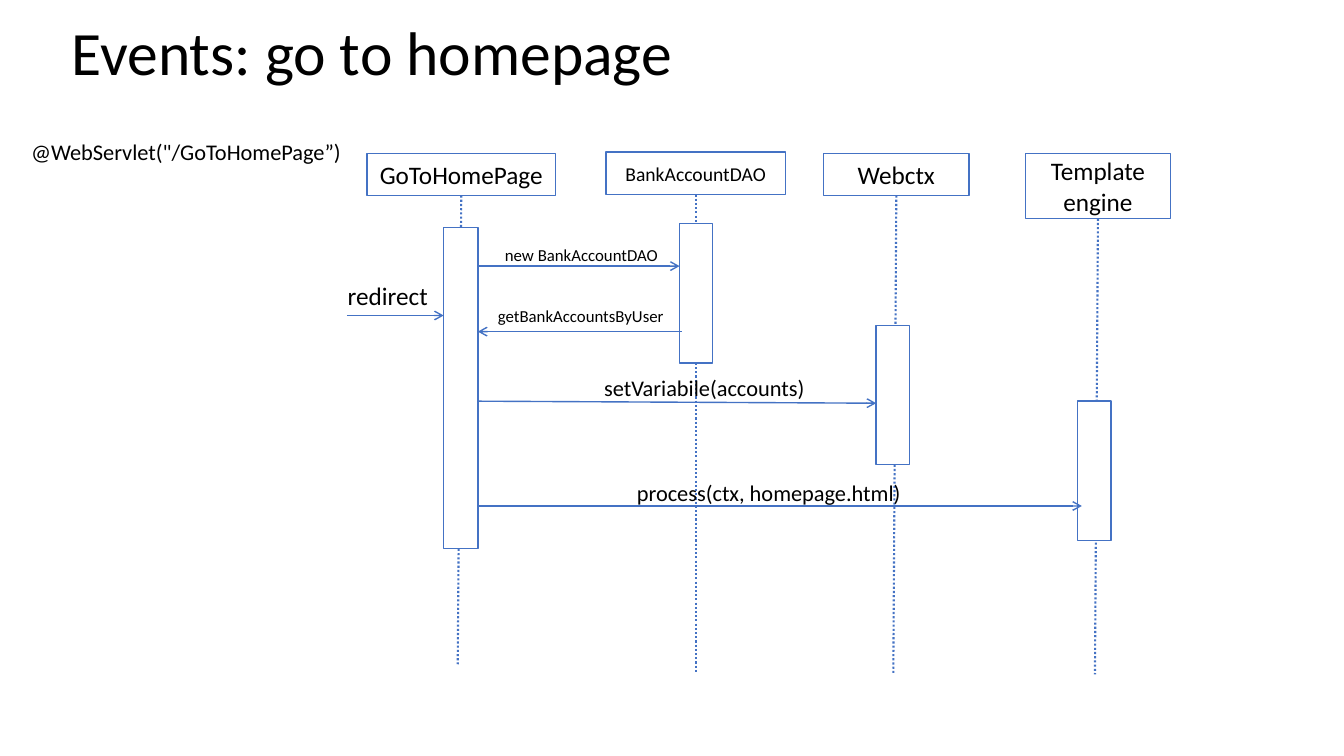
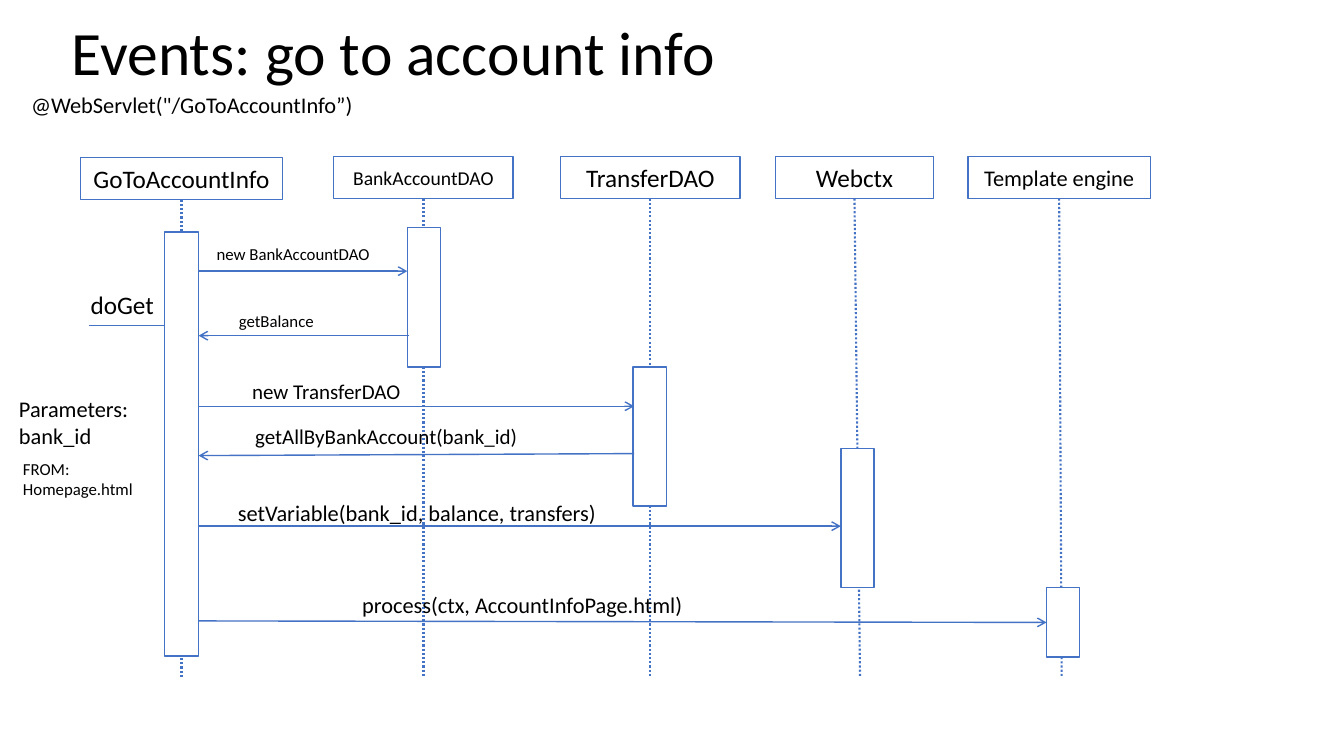
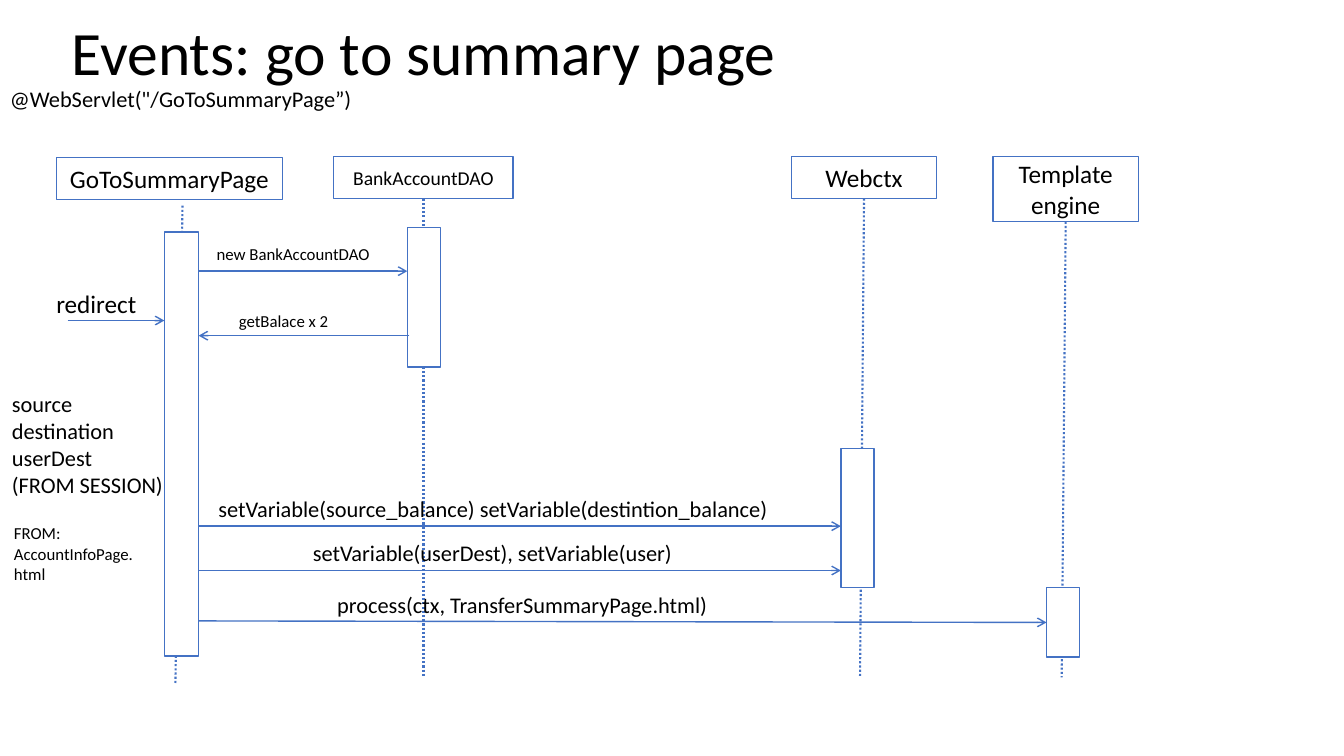
from dataclasses import dataclass
from typing import Any, Optional

from lxml.etree import SubElement
from pptx import Presentation
from pptx.dml.color import RGBColor
from pptx.enum.dml import MSO_LINE
from pptx.enum.shapes import MSO_CONNECTOR, MSO_SHAPE
from pptx.enum.text import MSO_ANCHOR, MSO_AUTO_SIZE, PP_ALIGN
from pptx.oxml.ns import qn
from pptx.util import Inches, Pt

Point = tuple[float, float]


@dataclass(frozen=True)
class Theme:
    font: str = "Calibri"
    ink: RGBColor = RGBColor(0x00, 0x00, 0x00)
    paper: RGBColor = RGBColor(0xFF, 0xFF, 0xFF)
    accent: RGBColor = RGBColor(0x44, 0x72, 0xC4)
    title: int = 44
    large: int = 18
    medium: int = 16
    compact: int = 15
    name: int = 14
    small: int = 12
    line: float = 1
    lifeline: float = 1.5


THEME = Theme()
LINE_HEIGHTS = {THEME.large: 0.4, THEME.medium: 0.37, THEME.compact: 0.35, THEME.small: 0.3}
CALL_LENGTH = 0.96
JOIN_TOLERANCE = 0.02


@dataclass(frozen=True)
class Frame:
    left: float
    top: float
    width: float
    height: float

    @property
    def right(self) -> float:
        return self.left + self.width

    @property
    def middle(self) -> float:
        return self.top + self.height / 2


@dataclass(frozen=True)
class Label:
    text: str
    left: float
    top: float
    width: float
    size: int = THEME.medium
    height: Optional[float] = None
    align: PP_ALIGN = PP_ALIGN.CENTER
    wrap: bool = False


@dataclass(frozen=True)
class Lifeline:
    """A named box, its dotted line down to foot, and its activation bar.

    The line hangs from the box unless start says otherwise.
    """
    name: str
    box: Frame
    foot: Point
    bar: Frame
    size: int = THEME.large
    start: Optional[Point] = None


@dataclass(frozen=True)
class Message:
    """An arrow between the first bar and the x position called reach."""
    label: Label
    reach: float
    y: float
    reach_y: Optional[float] = None
    returns: bool = False


@dataclass(frozen=True)
class Call:
    """The arrow that enters the first bar from outside."""
    label: Label
    left: float
    y: float


@dataclass(frozen=True)
class Diagram:
    title: str
    call: Call
    lifelines: list[Lifeline]
    messages: list[Message]
    notes: list[Label]
    title_width: float = 11.33


def apply(target: Any, values: dict[str, Any]) -> None:
    for name, value in values.items():
        setattr(target, name, value)


def place(frame: Frame) -> list[int]:
    return [Inches(value) for value in (frame.left, frame.top, frame.width, frame.height)]


def write(shape, text: str, size: int, align: PP_ALIGN, frame_format: dict[str, Any],
          spacing: float = 1.0) -> None:
    apply(shape.text_frame, frame_format)
    shape.text_frame.text = text
    for para in shape.text_frame.paragraphs:
        apply(para, {"alignment": align, "line_spacing": spacing})
        for span in para.runs:
            apply(span.font, {"name": THEME.font, "size": Pt(size)})
            span.font.color.rgb = THEME.ink


def add_title(page, diagram: Diagram) -> None:
    title = page.shapes.title
    left, top, width, height = place(Frame(0.61, -0.17, diagram.title_width, 1.45))
    apply(title, {"left": left, "top": top, "width": width, "height": height})
    write(title, diagram.title, THEME.title, PP_ALIGN.LEFT,
          {"vertical_anchor": MSO_ANCHOR.MIDDLE, "auto_size": MSO_AUTO_SIZE.NONE,
           "word_wrap": True}, spacing=0.9)


def add_label(page, label: Label) -> None:
    height = label.height or LINE_HEIGHTS[label.size]
    box = page.shapes.add_textbox(*place(Frame(label.left, label.top, label.width, height)))
    write(box, label.text, label.size, label.align,
          {"word_wrap": label.wrap, "auto_size": MSO_AUTO_SIZE.SHAPE_TO_FIT_TEXT})


def add_box(page, frame: Frame):
    box = page.shapes.add_shape(MSO_SHAPE.RECTANGLE, *place(frame))
    box.shadow.inherit = False
    box.fill.solid()
    box.fill.fore_color.rgb = THEME.paper
    box.line.color.rgb = THEME.accent
    box.line.width = Pt(THEME.line)
    return box


def add_line(page, start: Point, end: Point, dotted: bool = False):
    """Draw a dotted lifeline, or a solid line with an arrowhead at its end."""
    line = page.shapes.add_connector(
        MSO_CONNECTOR.STRAIGHT, *[Inches(value) for value in (*start, *end)])
    line.line.color.rgb = THEME.accent
    line.line.width = Pt(THEME.lifeline if dotted else THEME.line)
    if dotted:
        line.line.dash_style = MSO_LINE.ROUND_DOT
    else:
        SubElement(line.line._get_or_add_ln(), qn("a:tailEnd"), type="arrow")
    SubElement(line._element.spPr, qn("a:effectLst"))
    return line


def add_lifeline(page, lifeline: Lifeline) -> None:
    box = add_box(page, lifeline.box)
    write(box, lifeline.name, lifeline.size, PP_ALIGN.CENTER,
          {"vertical_anchor": MSO_ANCHOR.MIDDLE, "word_wrap": True})
    start = lifeline.start or (lifeline.box.left, lifeline.box.top)
    line = add_line(page, start, lifeline.foot, dotted=True)
    if lifeline.start is None:
        line.begin_connect(box, 2)


def add_message(page, message: Message, origin: float, bars: list) -> None:
    near = (origin, message.y)
    far = (message.reach, message.reach_y or message.y)
    start, end = (far, near) if message.returns else (near, far)
    line = add_line(page, start, end)
    for frame, bar in bars:
        if max(abs(end[0] - frame.left), abs(end[1] - frame.middle)) < JOIN_TOLERANCE:
            line.end_connect(bar, 1)
    add_label(page, message.label)


def add_diagram(deck, diagram: Diagram) -> None:
    page = deck.slides.add_slide(deck.slide_layouts[5])
    add_title(page, diagram)
    for lifeline in diagram.lifelines:
        add_lifeline(page, lifeline)
    call = diagram.call
    add_line(page, (call.left, call.y), (call.left + CALL_LENGTH, call.y))
    bars = [(life.bar, add_box(page, life.bar)) for life in diagram.lifelines]
    for message in diagram.messages:
        add_message(page, message, diagram.lifelines[0].bar.right, bars)
    for label in (call.label, *diagram.notes):
        add_label(page, label)


def caption(text: str, left: float, top: float, width: float, wrap: bool = False) -> Label:
    """A small label over an arrow to or from the account DAO."""
    return Label(text, left, top, width, THEME.small, align=PP_ALIGN.LEFT, wrap=wrap)


def entry(text: str, left: float, top: float, width: float) -> Label:
    """The large label over the incoming call."""
    return Label(text, left, top, width, THEME.large, align=PP_ALIGN.LEFT)


def note(text: str, left: float, top: float, width: float,
         height: Optional[float] = None, size: int = THEME.medium) -> Label:
    return Label(text, left, top, width, size, height, PP_ALIGN.LEFT, True)


# Parts shared by the account info and summary page diagrams
CONTROLLER_BAR = Frame(1.63, 2.3, 0.34, 4.21)
WEBCTX_BAR = Frame(8.34, 4.45, 0.33, 1.38)
ENGINE_BAR = Frame(10.38, 5.83, 0.33, 0.69)
BANK_LIFELINE = Lifeline("BankAccountDAO", Frame(3.31, 1.55, 1.78, 0.42), (4.2, 6.72),
                         Frame(4.04, 2.26, 0.33, 1.38), THEME.name)
NEW_BANK = Message(caption("new BankAccountDAO", 2.05, 2.37, 1.74), 4.04, 2.69)


def balance_message(text: str) -> Message:
    return Message(caption(text, 2.27, 3.03, 1.87, True), 4.06, 3.33, returns=True)


def process_message(page_file: str, left: float, width: float) -> Message:
    return Message(Label(f"process(ctx, {page_file})", left, 5.82, width),
                   ENGINE_BAR.left, 6.16, 6.17)


DIAGRAMS = [
    Diagram(
        "Events: go to homepage",
        Call(entry("redirect", 3.35, 2.73, 1.01), 3.44, 3.13),
        [
            Lifeline("GoToHomePage", Frame(3.64, 1.52, 1.87, 0.42), (4.54, 6.59),
                     Frame(4.4, 2.26, 0.34, 3.18)),
            Lifeline("BankAccountDAO", Frame(6.01, 1.51, 1.78, 0.42), (6.9, 6.67),
                     Frame(6.74, 2.22, 0.33, 1.38), THEME.name),
            Lifeline("Webctx", Frame(8.17, 1.52, 1.44, 0.42), (8.86, 6.69),
                     Frame(8.69, 3.23, 0.33, 1.38)),
            Lifeline("Template engine", Frame(10.17, 1.52, 1.44, 0.65), (10.86, 6.69),
                     Frame(10.69, 3.98, 0.33, 1.38)),
        ],
        [
            Message(caption("new BankAccountDAO", 4.91, 2.38, 1.74), 6.74, 2.64),
            Message(caption("getBankAccountsByUser", 4.84, 2.98, 1.87, True), 6.76, 3.29,
                    returns=True),
            Message(Label("setVariabile(accounts)", 5.88, 3.66, 2.21), 8.69, 3.98, 4),
            Message(Label("process(ctx, homepage.html)", 6.2, 4.7, 2.85), 10.73, 5.02),
        ],
        [note('@WebServlet("/GoToHomePage”)', 0.21, 1.32, 3.38)],
        title_width=6.29,
    ),
    Diagram(
        "Events: go to account info",
        Call(entry("doGet", 0.8, 2.82, 0.84), 0.88, 3.23),
        [
            Lifeline("GoToAccountInfo", Frame(0.8, 1.56, 2, 0.42), (1.8, 6.72), CONTROLLER_BAR),
            BANK_LIFELINE,
            Lifeline("TransferDAO", Frame(5.56, 1.55, 1.78, 0.42), (6.45, 6.72),
                     Frame(6.28, 3.64, 0.33, 1.38)),
            Lifeline("Webctx", Frame(7.69, 1.55, 1.57, 0.42), (8.53, 6.72), WEBCTX_BAR),
            Lifeline("Template engine", Frame(9.6, 1.55, 1.81, 0.42), (10.53, 6.72),
                     ENGINE_BAR, THEME.medium),
        ],
        [
            NEW_BANK,
            balance_message("getBalance"),
            Message(Label("new TransferDAO", 2.39, 3.71, 1.69, THEME.compact), 6.29, 4.03),
            Message(Label("getAllByBankAccount(bank_id)", 2.42, 4.15, 2.82, THEME.compact),
                    6.29, 4.52, 4.5, returns=True),
            Message(Label("setVariable(bank_id, balance, transfers)", 2.24, 4.9, 3.79),
                    WEBCTX_BAR.left, 5.22),
            process_message("AccountInfoPage.html", 3.47, 3.42),
        ],
        [
            note('@WebServlet("/GoToAccountInfo”)', 0.21, 0.86, 3.52),
            note("Parameters:\nbank_id", 0.09, 3.87, 1.8, 0.64),
            note("FROM:\nHomepage.html", 0.13, 4.5, 1.46, 0.5, THEME.small),
        ],
    ),
    Diagram(
        "Events: go to summary page",
        Call(entry("redirect", 0.46, 2.81, 1.01), 0.67, 3.18),
        [
            Lifeline("GoToSummaryPage", Frame(0.56, 1.56, 2.24, 0.42), (1.74, 6.78),
                     CONTROLLER_BAR, start=(1.81, 2.04)),
            BANK_LIFELINE,
            Lifeline("Webctx", Frame(7.85, 1.55, 1.44, 0.42), (8.53, 6.72), WEBCTX_BAR),
            Lifeline("Template engine", Frame(9.85, 1.55, 1.44, 0.65), (10.53, 6.72),
                     ENGINE_BAR),
        ],
        [
            NEW_BANK,
            balance_message("getBalace x 2"),
            Message(Label("setVariable(source_balance) setVariable(destintion_balance)",
                          2.03, 4.86, 5.72), WEBCTX_BAR.left, 5.22),
            Message(Label("setVariable(userDest), setVariable(user)", 2.98, 5.3, 3.81),
                    WEBCTX_BAR.left, 5.66),
            process_message("TransferSummaryPage.html", 3.22, 3.92),
        ],
        [
            note('@WebServlet("/GoToSummaryPage”)', 0, 0.8, 3.79),
            note("source\ndestination\nuserDest\n(FROM SESSION)", 0.02, 3.82, 1.86, 1.18),
            note("FROM:\nAccountInfoPage.html", 0.04, 5.14, 1.46, 0.71, THEME.small),
        ],
    ),
]


def main() -> None:
    deck = Presentation()
    apply(deck, {"slide_width": Inches(13.33), "slide_height": Inches(7.5)})
    for diagram in DIAGRAMS:
        add_diagram(deck, diagram)
    deck.save("out.pptx")


if __name__ == "__main__":
    main()
